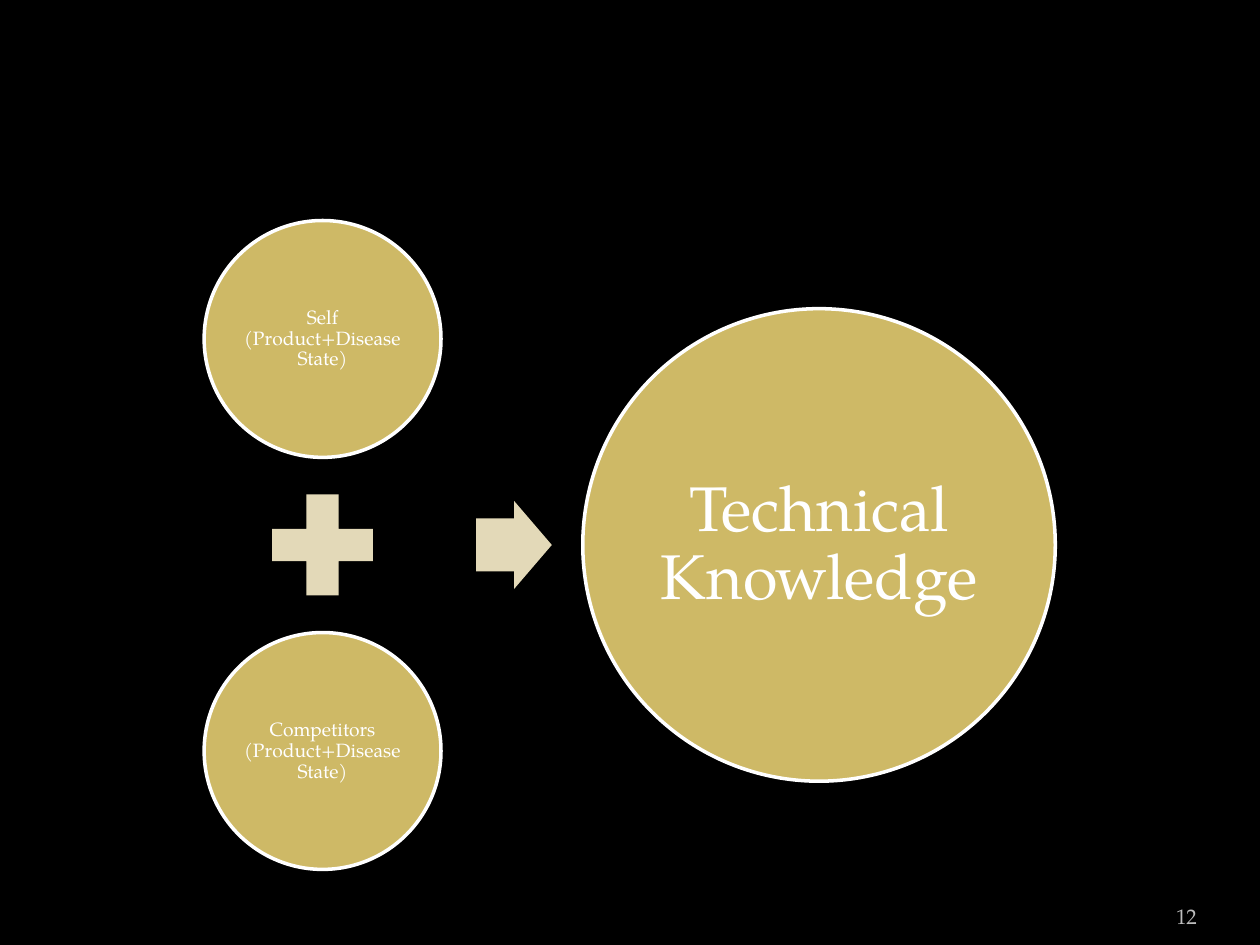
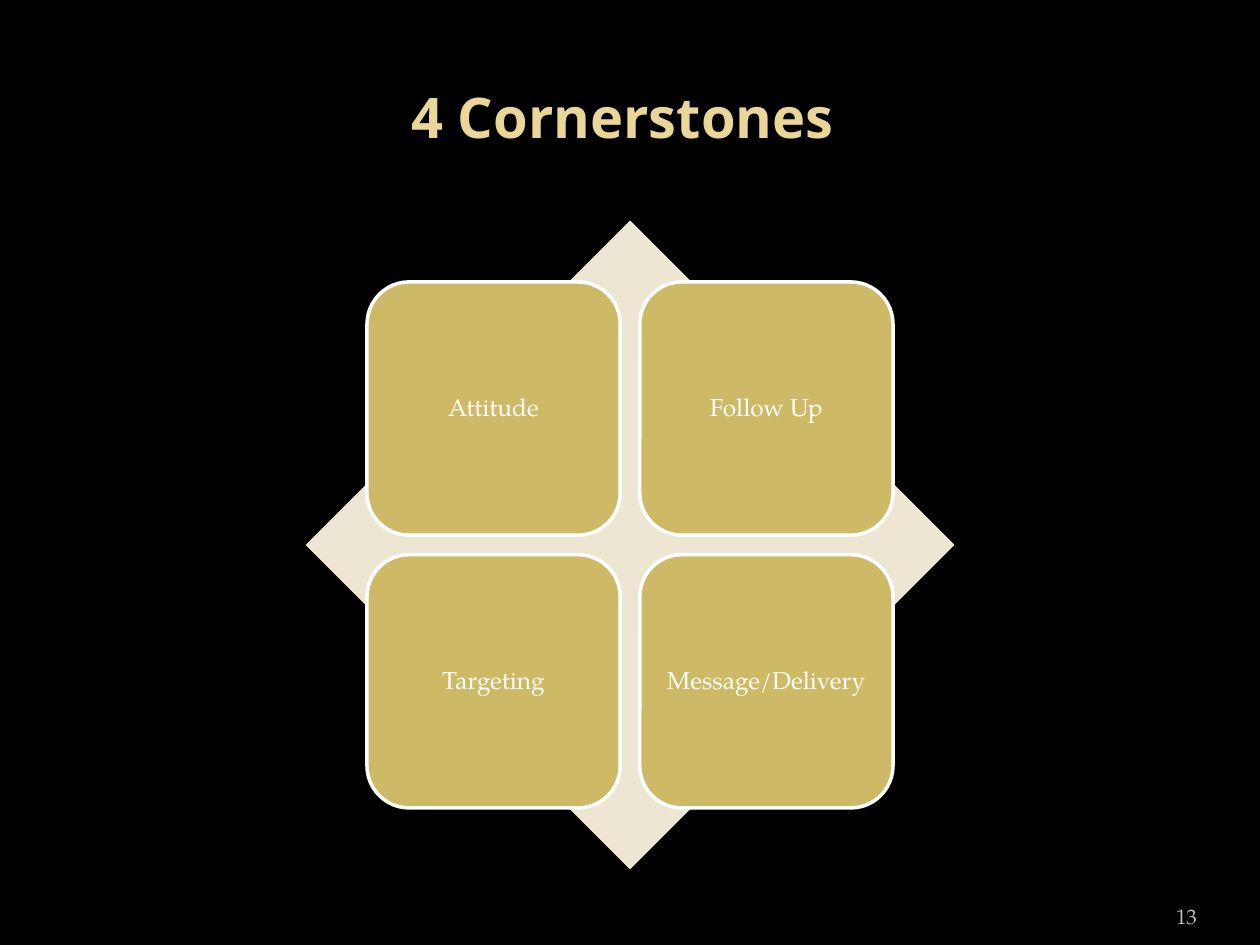
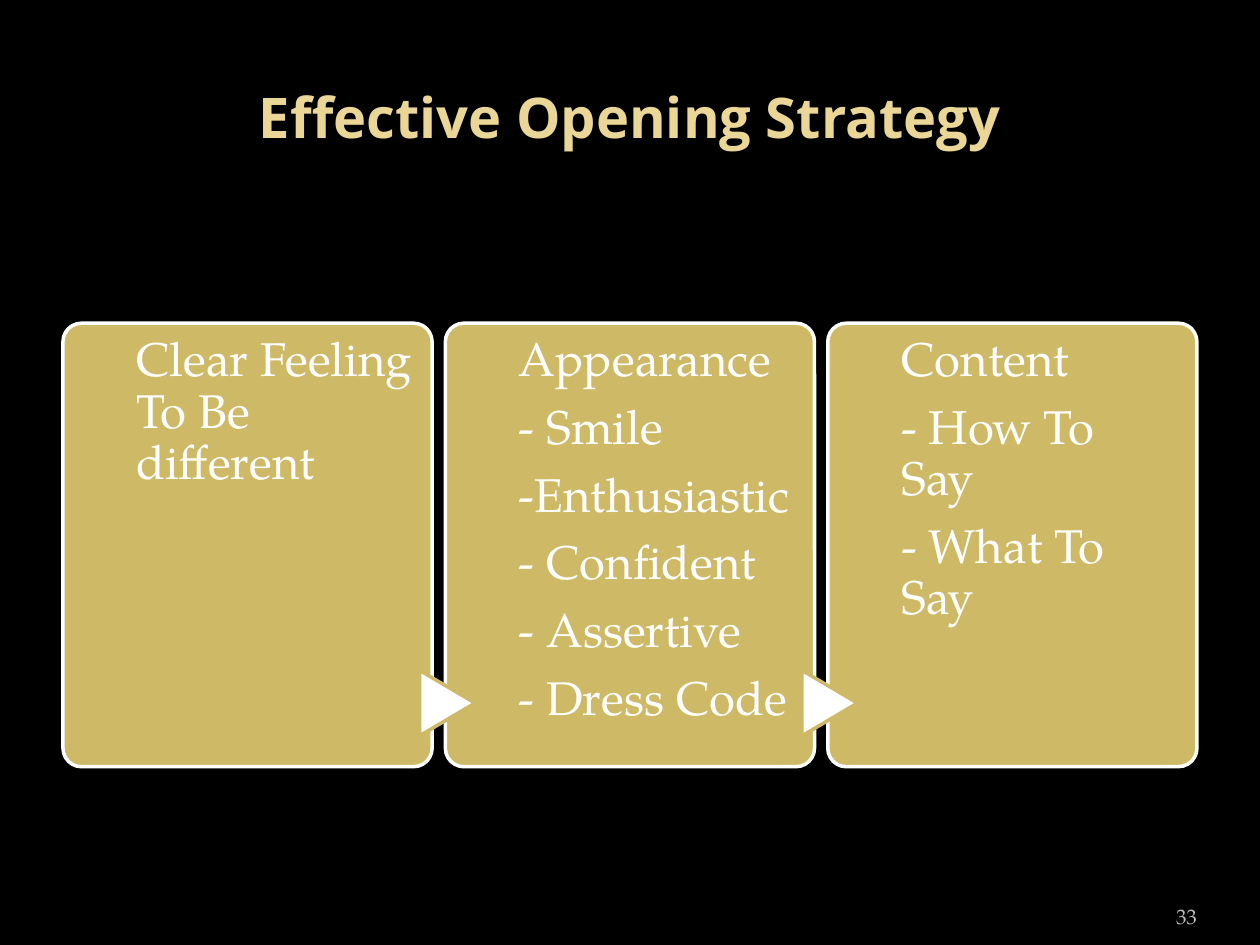
from pptx import Presentation
from pptx.dml.color import RGBColor
from pptx.enum.shapes import MSO_SHAPE
from pptx.enum.text import MSO_ANCHOR, PP_ALIGN
from pptx.util import Inches, Pt

BLACK = RGBColor(0x00, 0x00, 0x00)
WHITE = RGBColor(0xFF, 0xFF, 0xFF)
GOLD = RGBColor(0xCE, 0xB9, 0x66)
SAND = RGBColor(0xE3, 0xD9, 0xB8)
CREAM = RGBColor(0xED, 0xE6, 0xD3)
STRAW = RGBColor(0xEA, 0xD6, 0x96)
GREY = RGBColor(0xBD, 0xBD, 0xBD)

OVAL = MSO_SHAPE.OVAL
ROUND = MSO_SHAPE.ROUNDED_RECTANGLE
PLUS = MSO_SHAPE.MATH_PLUS
ARROW = MSO_SHAPE.RIGHT_ARROW
DIAMOND = MSO_SHAPE.DIAMOND
WEDGE = MSO_SHAPE.FLOWCHART_EXTRACT

LEFT, CENTER, RIGHT = PP_ALIGN.LEFT, PP_ALIGN.CENTER, PP_ALIGN.RIGHT
TOP, MIDDLE, BOTTOM = MSO_ANCHOR.TOP, MSO_ANCHOR.MIDDLE, MSO_ANCHOR.BOTTOM

HEAD, BODY = "Open Sans", "TeX Gyre Pagella"
COLS, ROWS = 100, 75
MID = 43.25  # row on which every diagram is centred


class Deck:
    """Holds the style and the current slide; places parts by their centre."""

    def __init__(self):
        self.prs = Presentation()
        self.prs.slide_width, self.prs.slide_height = Inches(10), Inches(7.5)
        self.col = self.prs.slide_width / COLS
        self.row = self.prs.slide_height / ROWS
        self.slide = None

    def page(self, num, title=None):
        self.slide = self.prs.slides.add_slide(self.prs.slide_layouts[6])
        fill = self.slide.background.fill
        fill.solid()
        fill.fore_color.rgb = BLACK
        if title:
            box = self.label(50, 9.25, 90, 12.5)
            self.words(box, [title], 32, STRAW, font=HEAD, bold=True,
                       pads=(0.1, 0.05, 0.1, 0.05))
        box = self.label(90.85, 72.2, 8.3, 4)
        self.words(box, [str(num)], 12, GREY, align=RIGHT, anchor=BOTTOM,
                   pads=(0, 0.05, 0, 0.05))

    def area(self, x, y, wide, high):
        return (round((x - wide / 2) * self.col), round((y - high / 2) * self.row),
                round(wide * self.col), round(high * self.row))

    def label(self, x, y, wide, high):
        return self.slide.shapes.add_textbox(*self.area(x, y, wide, high))

    def shape(self, kind, x, y, wide, high, fill=GOLD, line=None, adj=(), turn=0):
        part = self.slide.shapes.add_shape(kind, *self.area(x, y, wide, high))
        part.shadow.inherit = False
        part.rotation = turn
        for i, val in enumerate(adj):
            part.adjustments[i] = val
        part.fill.solid()
        part.fill.fore_color.rgb = fill
        if line is None:
            part.line.fill.background()
        else:
            part.line.color.rgb = line
            part.line.width = Pt(2)
        return part

    def words(self, part, lines, size, color=WHITE, font=BODY, bold=False,
              align=CENTER, anchor=MIDDLE, pads=(0.02,) * 4, lead=None):
        frame = part.text_frame
        frame.word_wrap = True
        frame.vertical_anchor = anchor
        (frame.margin_left, frame.margin_top,
         frame.margin_right, frame.margin_bottom) = map(Inches, pads)
        for i, line in enumerate(lines):
            para = frame.add_paragraph() if i else frame.paragraphs[0]
            para.alignment = align
            if lead:
                para.line_spacing = lead
                para.space_after = Pt(0.35 * size)
            run = para.add_run()
            run.text = line
            run.font.name, run.font.size, run.font.bold = font, Pt(size), bold
            run.font.color.rgb = color

    def node(self, kind, x, y, wide, high, lines, size, adj=(), **style):
        part = self.shape(kind, x, y, wide, high, line=WHITE, adj=adj)
        self.words(part, lines, size, lead=0.9, **style)

    def save(self):
        self.prs.save("out.pptx")


def sum_page(deck):
    deck.page(12)
    # Two small circles add up to the large one
    x, gap = 25.6, 16.35
    for side, name in ((-1, "Self"), (1, "Competitors")):
        deck.node(OVAL, x, MID + side * gap, 18.8, 18.8,
                  [f"{name} (Product+Disease State)"], 11)
    deck.shape(PLUS, x, MID, 10.9, 10.9, SAND)
    deck.shape(ARROW, 40.8, MID, 6, 7, SAND, adj=(0.6, 0.5))
    deck.node(OVAL, 65, MID, 37.5, 37.5, ["Technical Knowledge"], 36,
              pads=(0.05,) * 4)


def stone_page(deck):
    deck.page(13, "4 Cornerstones ")
    # Tiles in a two by two grid over a diamond
    deck.shape(DIAMOND, 50, MID, 51.5, 51.5, CREAM)
    step = 21.65
    names = ("Attitude", "Follow Up", "Targeting", "Message/Delivery")
    for i, name in enumerate(names):
        row, col = divmod(i, 2)
        deck.node(ROUND, 50 + (col - 0.5) * step, MID + (row - 0.5) * step,
                  20.1, 20.1, [name], 14, pads=(0.06,) * 4)


def open_page(deck):
    deck.page(33, "Effective Opening Strategy")
    # Three cards, each joined to the one before by a wedge
    step = 30.35
    cards = (
        ["Clear Feeling To Be different"],
        ["Appearance", "- Smile", "-Enthusiastic", "- Confident",
         "- Assertive", "- Dress Code"],
        ["Content", "- How To Say", "- What To Say"],
    )
    for i, lines in enumerate(cards):
        x = 50 + (i - 1) * step
        deck.node(ROUND, x, MID, 29.3, 35.2, lines, 27, adj=(0.05,),
                  align=LEFT, anchor=TOP, pads=(0.54, 0.06, 0.11, 0))
        if i:
            deck.shape(WEDGE, x - 14.5, 65.8 - 10, 5.2, 4.4, WHITE, GOLD, turn=90)


def main():
    deck = Deck()
    for build in (sum_page, stone_page, open_page):
        build(deck)
    deck.save()


if __name__ == "__main__":
    main()
